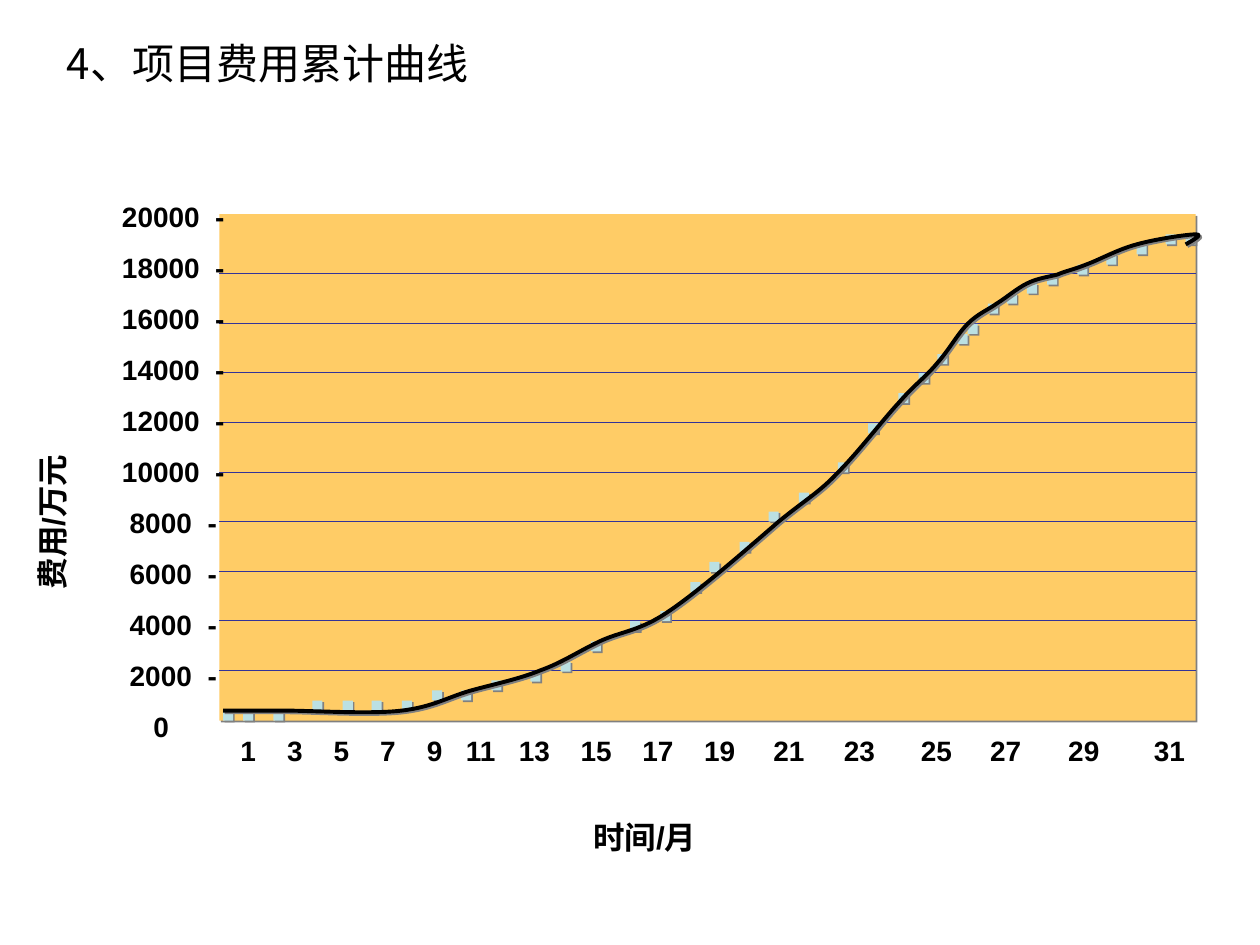
from lxml.etree import SubElement
from pptx import Presentation
from pptx.dml.color import RGBColor
from pptx.enum.shapes import MSO_CONNECTOR, MSO_SHAPE
from pptx.enum.text import MSO_ANCHOR, MSO_AUTO_SIZE, PP_ALIGN
from pptx.oxml.ns import qn
from pptx.util import Inches, Pt

BLACK = RGBColor(0x00, 0x00, 0x00)
PLOT_FILL = RGBColor(0xFF, 0xCC, 0x66)
GRID_BLUE = RGBColor(0x33, 0x33, 0x99)
MARKER_BLUE = RGBColor(0xBB, 0xE0, 0xE3)
SHADOW_GREY = RGBColor(0x80, 0x80, 0x80)

PLOT_LEFT, PLOT_TOP, PLOT_WIDTH, PLOT_HEIGHT = 1.74, 1.7, 7.75, 4.02
GRID_BOTTOM, GRID_TOP, GRID_COUNT = 5.32, 2.17, 9
MARKER_SIZE = 0.08

MONTH_TABS = [0.37, 0.74, 1.11, 1.48, 1.79, 2.21, 2.7, 3.19,
              3.68, 4.23, 4.79, 5.4, 5.95, 6.57, 7.25]

MARKERS = [
    (1.77, 5.64), (1.93, 5.64), (2.17, 5.64), (2.48, 5.56), (2.72, 5.56),
    (2.95, 5.56), (3.19, 5.56), (3.43, 5.48), (3.66, 5.48), (3.9, 5.4),
    (4.21, 5.33), (4.45, 5.25), (4.69, 5.09), (5, 4.93), (5.24, 4.85),
    (5.48, 4.62), (5.63, 4.46), (5.87, 4.3), (6.1, 4.06), (6.34, 3.91),
    (6.65, 3.67), (6.89, 3.36), (7.13, 3.12), (7.29, 2.96), (7.44, 2.81),
    (7.6, 2.65), (7.68, 2.57), (7.84, 2.41), (7.99, 2.33), (8.15, 2.25),
    (8.31, 2.18), (8.55, 2.1), (8.78, 2.02), (9.02, 1.94), (9.25, 1.86),
    (9.41, 1.86),
]

CURVE_START = (1.77, 5.64)
CURVE_POINTS = [
    (1.89, 5.64), (2.01, 5.64), (2.24, 5.64),
    (2.48, 5.64), (2.94, 5.67), (3.19, 5.64),
    (3.44, 5.61), (3.56, 5.53), (3.74, 5.48),
    (3.92, 5.43), (4.12, 5.39), (4.29, 5.32),
    (4.46, 5.26), (4.59, 5.17), (4.76, 5.09),
    (4.93, 5.01), (5.08, 5.01), (5.31, 4.85),
    (5.55, 4.69), (5.96, 4.33), (6.18, 4.14),
    (6.4, 3.96), (6.5, 3.91), (6.65, 3.75),
    (6.81, 3.59), (7, 3.34), (7.13, 3.2),
    (7.26, 3.05), (7.35, 2.99), (7.44, 2.88),
    (7.53, 2.78), (7.6, 2.65), (7.68, 2.57),
    (7.76, 2.49), (7.84, 2.46), (7.91, 2.41),
    (7.99, 2.36), (8.07, 2.29), (8.15, 2.25),
    (8.23, 2.21), (8.31, 2.2), (8.39, 2.18),
    (8.46, 2.15), (8.52, 2.14), (8.62, 2.1),
    (8.73, 2.06), (8.87, 1.98), (9.02, 1.94),
    (9.16, 1.9), (9.42, 1.86), (9.49, 1.86),
    (9.55, 1.86), (9.48, 1.9), (9.41, 1.94),
]


def add_shadow(effects):
    shadow = SubElement(effects, qn("a:outerShdw"), dist=str(Pt(1.4)),
                        dir="2700000", algn="ctr", rotWithShape="0")
    SubElement(shadow, qn("a:srgbClr"), val=str(SHADOW_GREY))


def shadow_shape(shape):
    shape.shadow.inherit = False
    add_shadow(shape._element.spPr.find(qn("a:effectLst")))


def add_run(paragraph, text, size, typeface, bold=False, shadowed=False):
    run = paragraph.add_run()
    run.text = text
    font = run.font
    font.size, font.bold = Pt(size), bold
    font.color.rgb = BLACK
    properties = run._r.get_or_add_rPr()
    if shadowed:
        add_shadow(SubElement(properties, qn("a:effectLst")))
    font.name = typeface
    SubElement(properties, qn("a:ea"), typeface="Noto Sans CJK SC")


def add_tabs(paragraph, positions):
    tabs = SubElement(paragraph._p.get_or_add_pPr(), qn("a:tabLst"))
    for position in positions:
        SubElement(tabs, qn("a:tab"), pos=str(Inches(position)), algn="l")


def add_label(slide, left, top, width, height, lines, size, rotation=0):
    box = slide.shapes.add_textbox(Inches(left), Inches(top), Inches(width), Inches(height))
    box.rotation = rotation
    frame = box.text_frame
    frame.word_wrap = True
    frame.auto_size = MSO_AUTO_SIZE.SHAPE_TO_FIT_TEXT
    frame.margin_left = frame.margin_right = Inches(0.1)
    frame.margin_top = frame.margin_bottom = Inches(0.1)
    for index, (text, tabs) in enumerate(lines):
        paragraph = frame.add_paragraph() if index else frame.paragraphs[0]
        add_tabs(paragraph, tabs)
        paragraph.line_spacing = Pt(size * 1.2)
        if index:
            paragraph.space_before = Pt(10)
        add_run(paragraph, text, size, "Arial", bold=True, shadowed=True)


def add_title(slide, text):
    title = slide.shapes.title
    title.left, title.top = Inches(0.43), Inches(0.3)
    title.width, title.height = Inches(9.21), Inches(0.81)
    frame = title.text_frame
    frame.auto_size = MSO_AUTO_SIZE.NONE
    frame.vertical_anchor = MSO_ANCHOR.TOP
    frame.margin_top = 0
    paragraph = frame.paragraphs[0]
    paragraph.alignment = PP_ALIGN.LEFT
    add_run(paragraph, text, 24, "Noto Sans CJK SC")


def add_block(slide, left, top, width, height, color):
    block = slide.shapes.add_shape(MSO_SHAPE.RECTANGLE, Inches(left), Inches(top),
                                   Inches(width), Inches(height))
    block.fill.solid()
    block.fill.fore_color.rgb = color
    block.line.fill.background()
    shadow_shape(block)


def add_gridline(slide, y):
    gridline = slide.shapes.add_connector(
        MSO_CONNECTOR.STRAIGHT, Inches(PLOT_LEFT), Inches(y),
        Inches(PLOT_LEFT + PLOT_WIDTH), Inches(y))
    gridline.line.color.rgb = GRID_BLUE
    gridline.line.width = Pt(0.25)
    SubElement(gridline._element.spPr, qn("a:effectLst"))


def add_curve(slide, start, points):
    builder = slide.shapes.build_freeform(Inches(start[0]), Inches(start[1]))
    builder.add_line_segments([(Inches(x), Inches(y)) for x, y in points], close=False)
    curve = builder.convert_to_shape()
    segments = list(curve._element.spPr.iter(qn("a:lnTo")))
    outline = segments[0].getparent()
    for first in range(0, len(segments), 3):
        bezier = SubElement(outline, qn("a:cubicBezTo"))
        for segment in segments[first:first + 3]:
            bezier.append(segment[0])
            outline.remove(segment)
    curve.fill.background()
    curve.line.color.rgb = BLACK
    curve.line.width = Pt(2.25)
    shadow_shape(curve)


def cost_lines():
    lines = [(f"{cost}\t-", [0.74]) for cost in range(20000, 9999, -2000)]
    lines += [(f" {cost}\t-", [0.68]) for cost in range(8000, 0, -2000)]
    return lines + [("\t0", [0.25])]


def main():
    presentation = Presentation()
    presentation.slide_width, presentation.slide_height = Inches(10), Inches(7.5)
    slide = presentation.slides.add_slide(presentation.slide_layouts[5])

    add_title(slide, "4、项目费用累计曲线")
    add_label(slide, 4.61, 6.39, 1.97, 0.5, [("时间/月", [])], 18)
    add_block(slide, PLOT_LEFT, PLOT_TOP, PLOT_WIDTH, PLOT_HEIGHT, PLOT_FILL)
    months = "\t".join(str(month) for month in range(1, 32, 2))
    add_label(slide, 1.81, 5.72, 7.83, 0.47, [(months, MONTH_TABS)], 16)
    grid_step = (GRID_BOTTOM - GRID_TOP) / (GRID_COUNT - 1)
    for index in range(GRID_COUNT):
        add_gridline(slide, GRID_BOTTOM - index * grid_step)
    add_label(slide, 0.87, 1.48, 1.06, 4.52, cost_lines(), 16)
    add_label(slide, -0.66, 3.45, 2.15, 0.5, [("费用/万元", [])], 18, rotation=270)
    for left, top in MARKERS:
        add_block(slide, left, top, MARKER_SIZE, MARKER_SIZE, MARKER_BLUE)
    add_curve(slide, CURVE_START, CURVE_POINTS)

    presentation.save("out.pptx")


if __name__ == "__main__":
    main()
